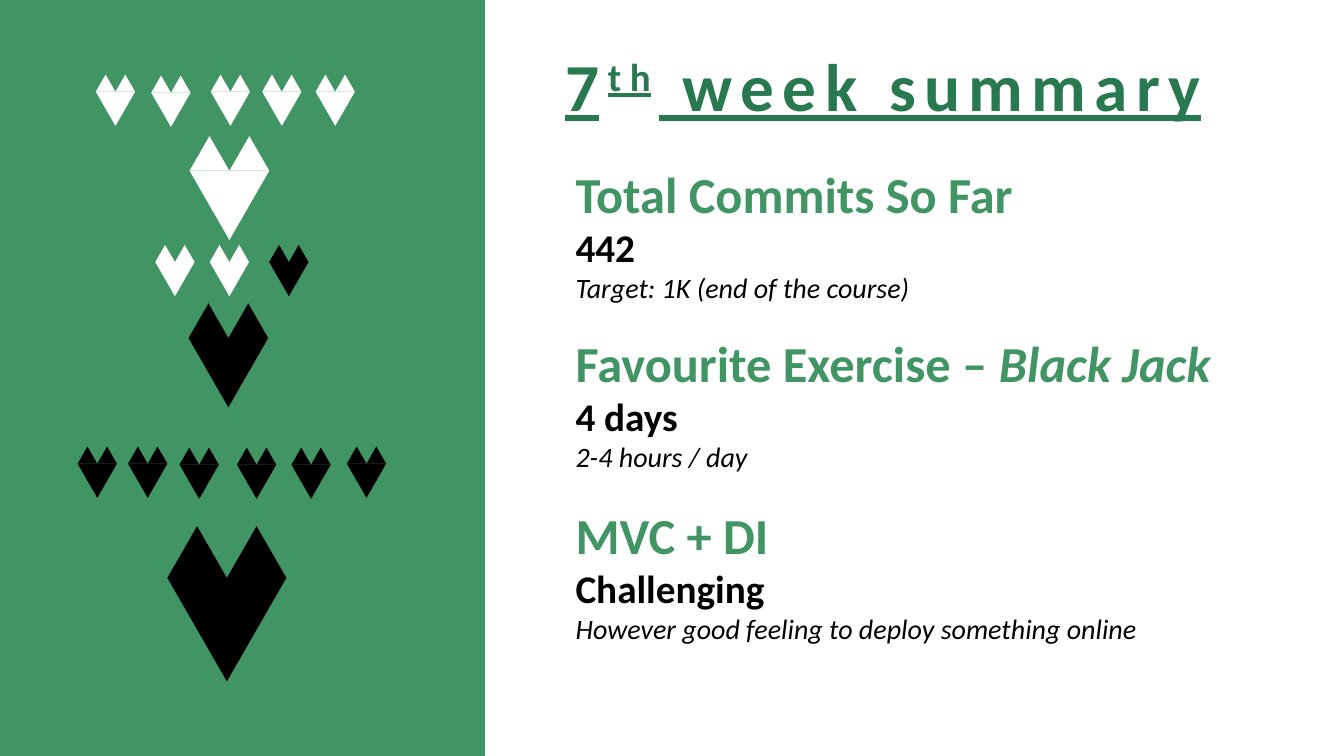
from pptx import Presentation
from pptx.dml.color import RGBColor
from pptx.enum.shapes import MSO_SHAPE
from pptx.enum.text import MSO_AUTO_SIZE
from pptx.util import Inches, Pt

GREEN, DARK_GREEN, WHITE, BLACK = "419464", "287850", "FFFFFF", "000000"
FONT = "Calibri"
SMALL, MEDIUM, LARGE = 0.39, 0.79, 1.18

HEARTS = [
    (WHITE, SMALL, [(0.95, 0.74), (1.5, 0.75), (2.09, 0.74), (2.6, 0.74), (3.13, 0.74)]),
    (WHITE, MEDIUM, [(1.88, 1.35)]),
    (WHITE, SMALL, [(1.54, 2.43), (2.08, 2.43)]),
    (BLACK, SMALL, [(2.67, 2.43)]),
    (BLACK, MEDIUM, [(1.87, 3.01)]),
    (BLACK, SMALL, [(0.77, 4.43), (1.27, 4.43), (1.78, 4.44),
                    (2.35, 4.44), (2.89, 4.44), (3.44, 4.43)]),
    (BLACK, LARGE, [(1.66, 5.22)]),
]

SECTIONS = [
    (0, "Total Commits So Far", "", "442", "Target: 1K (end of the course)"),
    (19.5, "Favourite Exercise – ", "Black Jack", "4 days", "2-4 hours / day"),
    (22, "MVC + DI", "", "Challenging", "However good feeling to deploy something online"),
]


def color(hex_code):
    """Turn a hex string into a colour."""
    return RGBColor.from_string(hex_code)


def add_filled(shapes, kind, left, top, width, height, fill):
    """Add a plain preset shape without line or shadow."""
    shape = shapes.add_shape(kind, Inches(left), Inches(top), Inches(width), Inches(height))
    shape.shadow.inherit = False
    shape.fill.solid()
    shape.fill.fore_color.rgb = color(fill)
    shape.line.fill.background()
    return shape


def add_heart(page, left, top, width, fill):
    """Add a grouped heart: one inverted triangle under two half-size ones."""
    shapes = page.shapes.add_group_shape().shapes
    triangle = MSO_SHAPE.ISOSCELES_TRIANGLE
    half = width / 2
    lobe_height = half * 0.87
    body = add_filled(shapes, triangle, left, top + lobe_height, width, 2 * lobe_height, fill)
    body.rotation = 180
    for lobe_left in (left, left + half):
        add_filled(shapes, triangle, lobe_left, top, half, lobe_height, fill)


def add_text_box(page, left, top, width, height):
    """Add a wrapping text box that fits its text and return its frame."""
    box = page.shapes.add_textbox(Inches(left), Inches(top), Inches(width), Inches(height))
    frame = box.text_frame
    frame.word_wrap = True
    frame.auto_size = MSO_AUTO_SIZE.SHAPE_TO_FIT_TEXT
    return frame


def add_span(para, text, size, fill, bold=True, italic=False):
    """Add one formatted run to a paragraph."""
    span = para.add_run()
    span.text = text
    font = span.font
    font.name, font.size = FONT, Pt(size)
    font.bold, font.italic = bold, italic
    font.color.rgb = color(fill)
    return span


def add_title(page):
    """Add the underlined, letter-spaced title."""
    para = add_text_box(page, 5.51, 0.39, 7.01, 0.91).paragraphs[0]
    for text, baseline in (("7", 0), ("th", 30000), (" week summary", 0)):
        span = add_span(para, text, 48, DARK_GREEN)
        span.font.underline = True
        properties = span._r.get_or_add_rPr()
        properties.set("spc", "600")
        if baseline:
            properties.set("baseline", str(baseline))


def add_summary(page):
    """Add the three sections of heading, result and remark."""
    frame = add_text_box(page, 5.61, 1.57, 6.91, 4.91)
    para = frame.paragraphs[0]
    for gap, heading, emphasis, result, remark in SECTIONS:
        if gap:
            para = frame.add_paragraph()
            para.space_before = Pt(gap)
        add_span(para, heading, 36, GREEN)
        if emphasis:
            add_span(para, emphasis, 36, GREEN, italic=True)
        add_span(frame.add_paragraph(), result, 28, BLACK)
        add_span(frame.add_paragraph(), remark, 20, BLACK, bold=False, italic=True)


def main():
    """Build the weekly summary slide."""
    deck = Presentation()
    deck.slide_width, deck.slide_height = Inches(13.33), Inches(7.5)
    page = deck.slides.add_slide(deck.slide_layouts[6])
    add_filled(page.shapes, MSO_SHAPE.RECTANGLE, 0, 0, 4.81, 7.5, GREEN)
    add_title(page)
    for fill, width, places in HEARTS:
        for left, top in places:
            add_heart(page, left, top, width, fill)
    add_summary(page)
    deck.save("out.pptx")


main()
